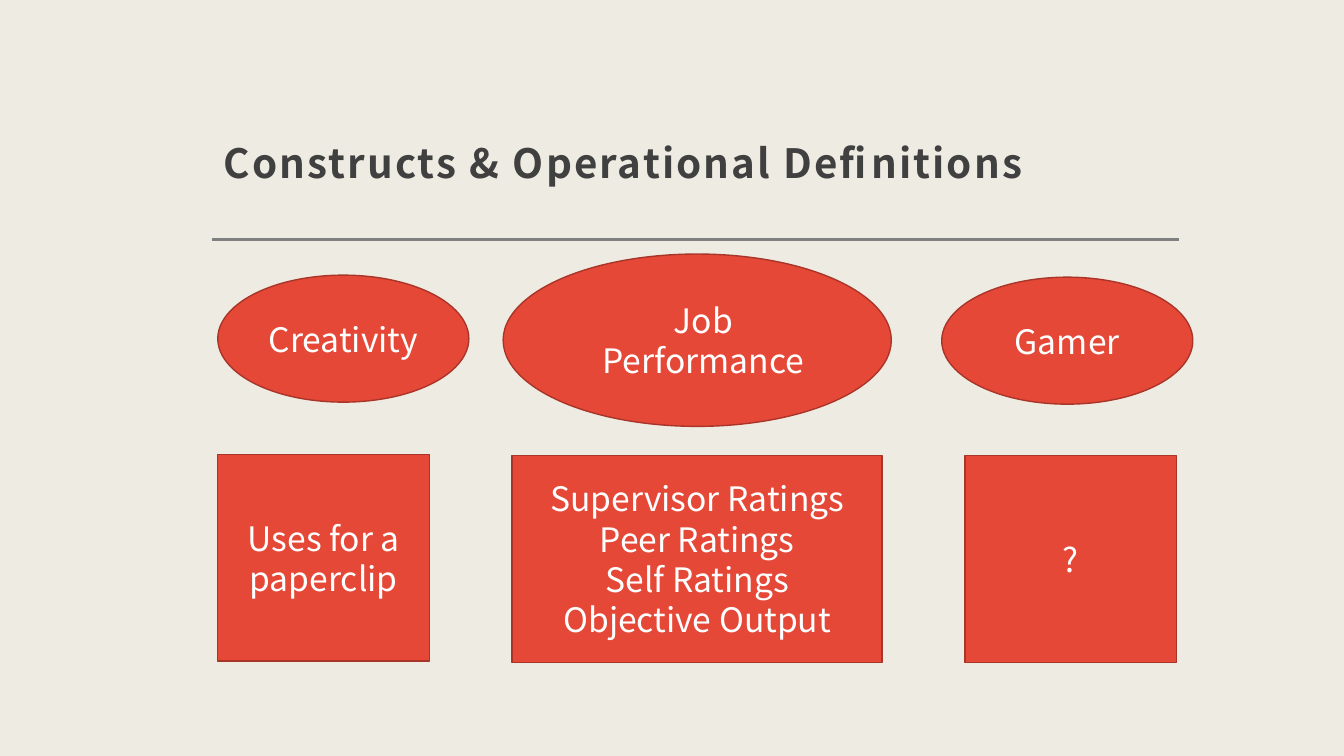
from dataclasses import dataclass

from lxml.etree import SubElement
from pptx import Presentation
from pptx.dml.color import RGBColor
from pptx.enum.shapes import MSO_CONNECTOR, MSO_SHAPE
from pptx.enum.text import MSO_ANCHOR, PP_ALIGN
from pptx.oxml.ns import qn
from pptx.util import Inches, Pt


@dataclass(frozen=True)
class Theme:
    font: str = "Noto Sans CJK JP"
    background: RGBColor = RGBColor(0xEE, 0xEB, 0xE2)
    title_color: RGBColor = RGBColor(0x40, 0x40, 0x40)
    rule: RGBColor = RGBColor(0x80, 0x80, 0x80)
    fill: RGBColor = RGBColor(0xE5, 0x48, 0x37)
    outline: RGBColor = RGBColor(0xA9, 0x35, 0x29)
    label: RGBColor = RGBColor(0xFF, 0xFF, 0xFF)
    title_size: float = 28.8
    label_size: float = 24


THEME = Theme()

# Each pair: construct, its box, its operational definitions, their box.
# Boxes are left, top, width, height in inches.
PAIRS = [
    ("Creativity", (2.16, 2.73, 2.49, 1.26),
     ["Uses for a paperclip"], (2.16, 4.51, 2.1, 2.05)),
    ("Job Performance", (4.99, 2.52, 3.85, 1.71),
     ["Supervisor Ratings", "Peer Ratings", "Self Ratings", "Objective Output"],
     (5.08, 4.52, 3.67, 2.05)),
    ("Gamer", (9.34, 2.75, 2.49, 1.26),
     ["?"], (9.57, 4.52, 2.1, 2.05)),
]


def style_font(font, size, color, bold=False):
    font.name = THEME.font
    font.size = Pt(size)
    font.color.rgb = color
    font.bold = bold


def add_heading(slide, left, top, width, height):
    """Place the title with the rule that runs below it."""
    title = slide.shapes.title
    title.left, title.top = Inches(left), Inches(top)
    title.width, title.height = Inches(width), Inches(height)
    frame = title.text_frame
    frame.text = "Constructs & Operational Definitions"
    frame.word_wrap = True
    frame.vertical_anchor = MSO_ANCHOR.BOTTOM
    frame.margin_left = frame.margin_top = frame.margin_right = Inches(0.12)
    frame.margin_bottom = Inches(0.1)
    heading = frame.paragraphs[0]
    heading.alignment = PP_ALIGN.LEFT
    heading.line_spacing = 1.3
    style_font(heading.font, THEME.title_size, THEME.title_color, bold=True)
    heading.runs[0].font._element.set("spc", "150")

    rule_y = Inches(top + height + 0.43)
    rule = slide.shapes.add_connector(
        MSO_CONNECTOR.STRAIGHT, Inches(left), rule_y, Inches(left + width), rule_y)
    rule.line.color.rgb = THEME.rule
    rule.line.width = Pt(2)
    SubElement(rule._element.spPr, qn("a:effectLst"))


def add_label(slide, kind, box, lines):
    """Add a filled shape with one centred paragraph for each line."""
    label = slide.shapes.add_shape(kind, *map(Inches, box))
    label.shadow.inherit = False
    label.fill.solid()
    label.fill.fore_color.rgb = THEME.fill
    label.line.color.rgb = THEME.outline
    label.line.width = Pt(1)
    frame = label.text_frame
    frame.word_wrap = True
    frame.vertical_anchor = MSO_ANCHOR.MIDDLE
    frame.text = "\n".join(lines)
    for paragraph in frame.paragraphs:
        paragraph.alignment = PP_ALIGN.CENTER
        style_font(paragraph.font, THEME.label_size, THEME.label)
    return label


def add_pair(slide, construct, construct_box, definitions, definitions_box):
    oval = add_label(slide, MSO_SHAPE.OVAL, construct_box, [construct])
    add_label(slide, MSO_SHAPE.RECTANGLE, definitions_box, definitions)
    return oval


def main():
    deck = Presentation()
    deck.slide_width, deck.slide_height = Inches(13.33), Inches(7.5)
    slide = deck.slides.add_slide(deck.slide_layouts[5])
    slide.background.fill.solid()
    slide.background.fill.fore_color.rgb = THEME.background

    add_heading(slide, 2.1, 0.48, 9.59, 1.47)
    ovals = [add_pair(slide, *pair) for pair in PAIRS]

    job_performance = ovals[1].text_frame.paragraphs[0]
    job_performance.space_before = Pt(4)
    job_performance._p.get_or_add_pPr().set("marL", str(Inches(0.12)))

    deck.save("out.pptx")


if __name__ == "__main__":
    main()
